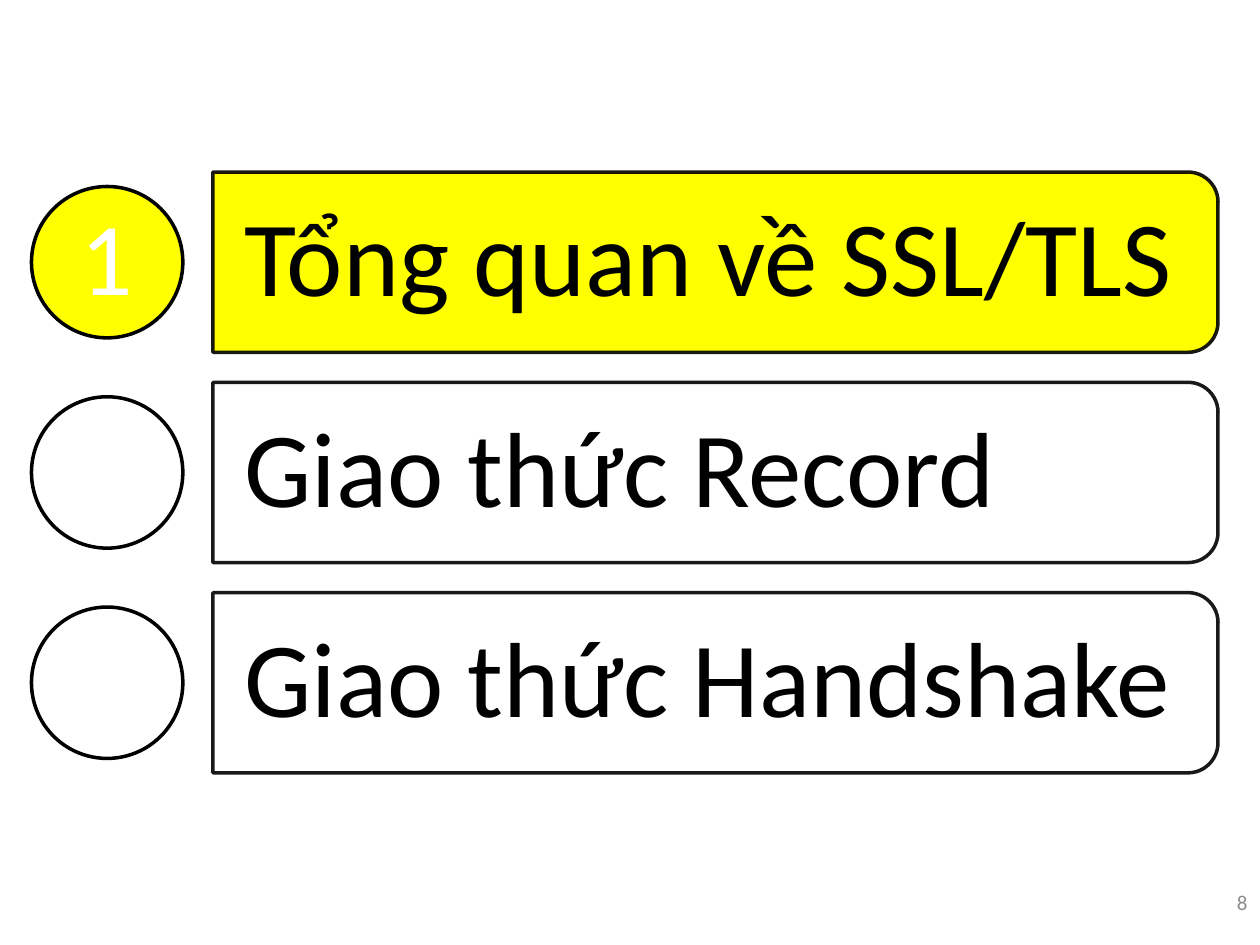
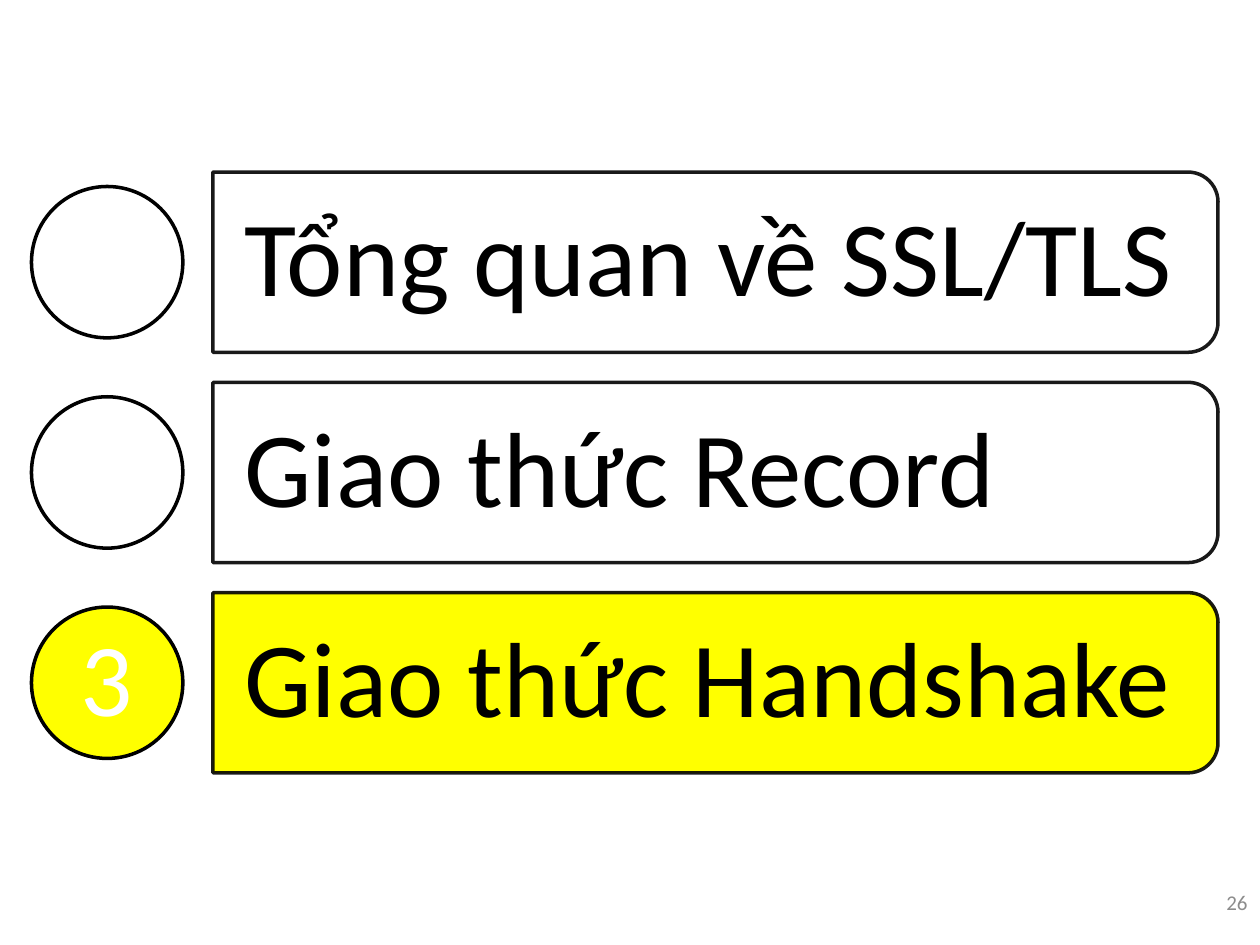
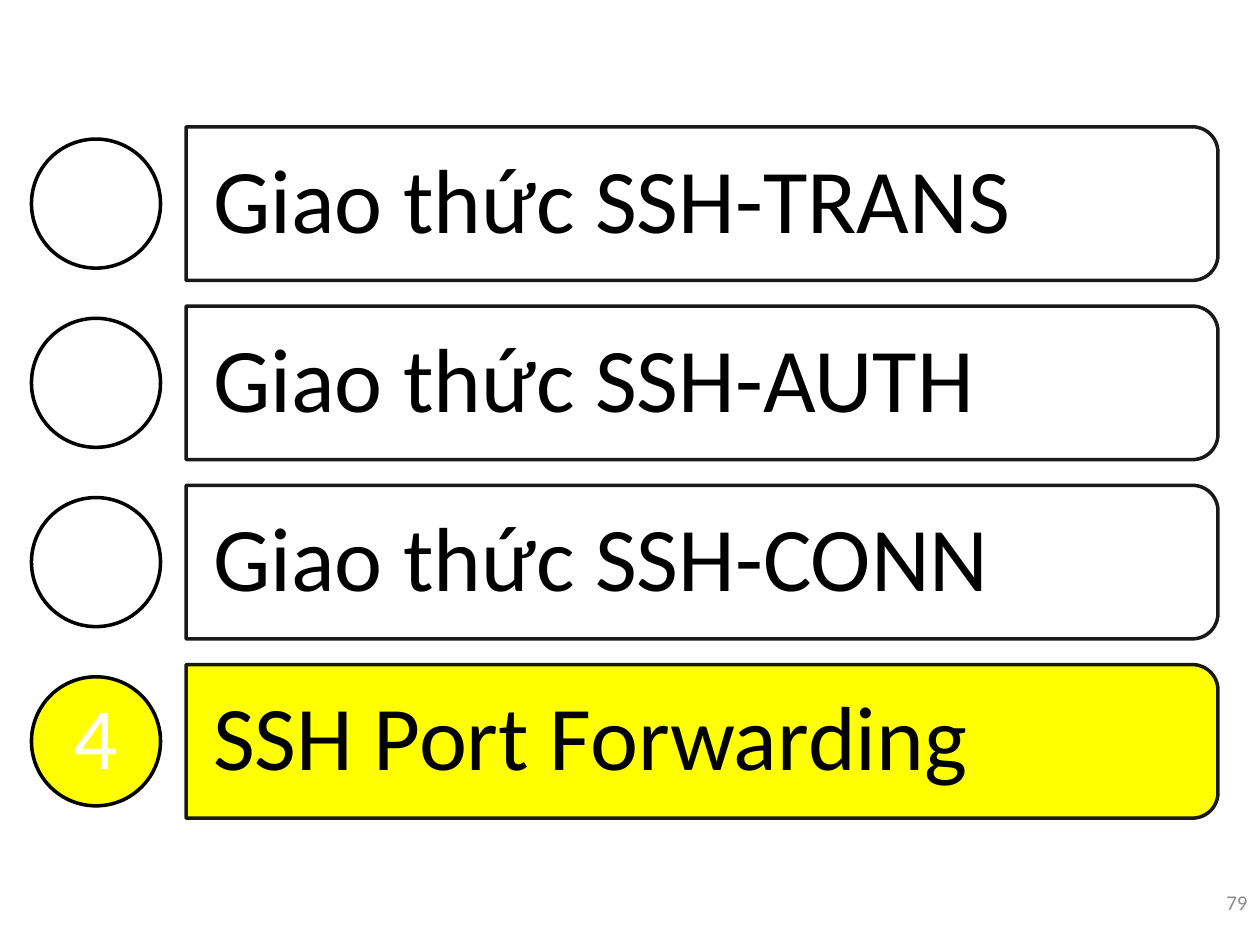
from lxml.etree import SubElement
from pptx import Presentation
from pptx.dml.color import RGBColor
from pptx.enum.shapes import MSO_SHAPE
from pptx.enum.text import MSO_ANCHOR, PP_ALIGN
from pptx.oxml.ns import qn
from pptx.util import Pt

COLORS = {
    "paper": "FFFFFF",
    "ink": "000000",
    "highlight": "FFFF00",
    "page_number": "8C8C8C",
}
FONT = "Calibri"
PAGE_WIDTH, PAGE_HEIGHT = 720, 540
AGENDA_BOX = (18, 0, 678, PAGE_HEIGHT)
NUMBER_BOX = (672, 491, 48, 49)

TLS_TOPICS = ["Tổng quan về SSL/TLS", "Giao thức Record", "Giao thức Handshake"]
SSH_TOPICS = [
    "Giao thức SSH-TRANS",
    "Giao thức SSH-AUTH",
    "Giao thức SSH-CONN",
    "SSH Port Forwarding",
]
AGENDAS = [
    {"topics": TLS_TOPICS, "current": 1, "bar_height": 103, "page_number": 8},
    {"topics": TLS_TOPICS, "current": 3, "bar_height": 103, "page_number": 26},
    {"topics": SSH_TOPICS, "current": 4, "bar_height": 87.8, "page_number": 79},
]


def apply_format(target, values):
    for name, value in values.items():
        setattr(target, name, value)


def to_points(*lengths):
    return [Pt(round(length, 2)) for length in lengths]


def set_color(fill, color, opacity=100):
    fill.solid()
    fill.fore_color.rgb = RGBColor.from_string(COLORS[color])
    if opacity < 100:
        properties = fill._xPr
        for element in properties.iter(qn("a:srgbClr")):
            if element.getparent().getparent() is properties:
                SubElement(element, qn("a:alpha"), val=str(opacity * 1000))


def write_text(shape, text, size, color, align, line_spacing=1.0, margins=None):
    frame = shape.text_frame
    apply_format(frame, {"word_wrap": True, "vertical_anchor": MSO_ANCHOR.MIDDLE})
    if margins is not None:
        horizontal, vertical = to_points(*margins)
        apply_format(frame, {
            "margin_left": horizontal,
            "margin_right": horizontal,
            "margin_top": vertical,
            "margin_bottom": vertical,
        })
    para = frame.paragraphs[0]
    apply_format(para, {"alignment": align, "line_spacing": line_spacing})
    span = para.add_run()
    span.text = text
    apply_format(span.font, {"name": FONT, "size": Pt(size)})
    span.font.color.rgb = RGBColor.from_string(COLORS[color])


def add_outlined(page, kind, box, fill, fill_opacity=100, line_opacity=100):
    shape = page.shapes.add_shape(kind, *to_points(*box))
    shape.shadow.inherit = False
    set_color(shape.fill, fill, fill_opacity)
    shape.line.width = Pt(2)
    set_color(shape.line.fill, "ink", line_opacity)
    return shape


def add_badge(page, box, number, is_current):
    fill = "highlight" if is_current else "paper"
    badge = add_outlined(page, MSO_SHAPE.OVAL, box, fill)
    if is_current:
        size = round(box[2] * 0.68)
        write_text(badge, str(number), size, "paper", PP_ALIGN.CENTER, 0.9, (0, 0))


def add_topic_bar(page, box, topic, is_current):
    left, top, width, height = box
    shift = (width - height) / 2
    upright_box = (left + shift, top - shift, height, width)
    fill, opacity = ("highlight", 100) if is_current else ("paper", 90)
    bar = add_outlined(page, MSO_SHAPE.ROUND_2_SAME_RECTANGLE, upright_box, fill, opacity, 90)
    bar.rotation = 90

    label_box = (left, top + height * 0.05, width - height * 0.05, height * 0.9)
    label = page.shapes.add_textbox(*to_points(*label_box))
    margins = (height * 0.175, height * 0.117)
    write_text(label, topic, round(height * 0.592), "ink", PP_ALIGN.LEFT, 0.9, margins)


def add_agenda(page, box, topics, current, bar_height):
    left, top, width, height = box
    gap = bar_height / 6
    pitch = bar_height + gap
    diameter = bar_height * 0.84
    bar_offset = diameter + gap
    first_top = top + (height - len(topics) * pitch + gap) / 2
    for index, topic in enumerate(topics):
        number = index + 1
        row_top = first_top + index * pitch
        badge_top = row_top + (bar_height - diameter) / 2
        bar_box = (left + bar_offset, row_top, width - bar_offset, bar_height)
        add_topic_bar(page, bar_box, topic, number == current)
        add_badge(page, (left, badge_top, diameter, diameter), number, number == current)


def add_page_number(page, box, number):
    shape = page.shapes.add_textbox(*to_points(*box))
    write_text(shape, str(number), 12, "page_number", PP_ALIGN.RIGHT)


def main():
    deck = Presentation()
    apply_format(deck, {"slide_width": Pt(PAGE_WIDTH), "slide_height": Pt(PAGE_HEIGHT)})
    for agenda in AGENDAS:
        page = deck.slides.add_slide(deck.slide_layouts[6])
        set_color(page.background.fill, "paper")
        add_agenda(page, AGENDA_BOX, agenda["topics"], agenda["current"], agenda["bar_height"])
        add_page_number(page, NUMBER_BOX, agenda["page_number"])
    deck.save("out.pptx")


if __name__ == "__main__":
    main()
